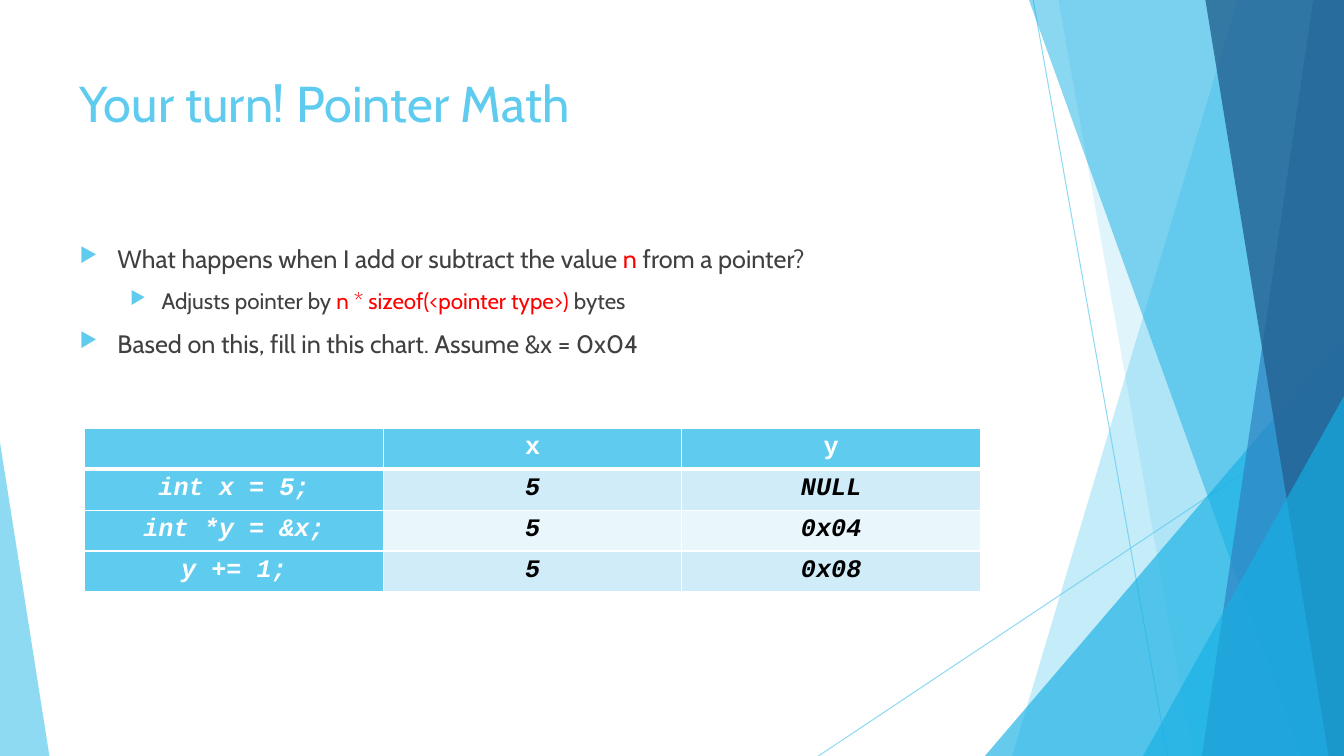
from pptx import Presentation
from pptx.dml.color import RGBColor
from pptx.enum.shapes import MSO_CONNECTOR
from pptx.enum.text import MSO_ANCHOR, PP_ALIGN
from pptx.oxml.ns import qn
from pptx.util import Pt
from lxml import etree

STRAIGHT = MSO_CONNECTOR.STRAIGHT
TOP = MSO_ANCHOR.TOP
CENTER = PP_ALIGN.CENTER

WIDTH, HEIGHT = 960, 540
INSET = 3.6
SKY, CYAN, BLUE, NAVY = "5FCBEF", "17B0E4", "2E83C3", "236292"
WHITE, BLACK, GREY, RED = "FFFFFF", "000000", "404040", "FF0000"
BANDS = ["D1ECF9", "E9F6FC"]

TITLE = "Your turn! Pointer Math"
POINTS = [
    (0, [("What happens when I add or subtract the value", GREY), (" n ", RED),
         ("from a pointer?", GREY)]),
    (1, [("Adjusts pointer by ", GREY), ("n * sizeof(<pointer type>) ", RED),
         ("bytes", GREY)]),
    (0, [("Based on this, fill in this chart. Assume &x = 0x04", GREY)]),
]
LEVELS = [(18, 27, 27), (16, 58.5, 22.5)]
POINTER_ROWS = [
    ["", "x", "y"],
    ["int x = 5;", "5", "NULL"],
    ["int *y = &x;", "5", "0x04"],
    ["y += 1;", "5", "0x08"],
]
TABLE_LEFT, TABLE_TOP, COLUMN_WIDTH, ROW_HEIGHT = 60.5, 306, 213.3, 29.2

RAYS = [((738, 0), (834, HEIGHT)), ((WIDTH, 290), (584.6, HEIGHT))]
RIGHT_SIDE = [(WIDTH, 0), (WIDTH, HEIGHT)]
FACETS = [
    ([(884, 0), *RIGHT_SIDE, (723, HEIGHT)], SKY, 36),
    ([(756, 0), *RIGHT_SIDE, (852, HEIGHT)], SKY, 20),
    ([(703.5, HEIGHT), (WIDTH, 240), (WIDTH, HEIGHT)], CYAN, 66),
    ([(735, 0), *RIGHT_SIDE, (929.5, HEIGHT)], CYAN, 50),
    ([(938, 0), *RIGHT_SIDE, (858.5, HEIGHT)], BLUE, 70),
    ([(861, 0), *RIGHT_SIDE, (949, HEIGHT)], NAVY, 80),
    ([(816.5, HEIGHT), (WIDTH, 283), (WIDTH, HEIGHT)], CYAN, 66),
    ([(0, HEIGHT), (0, 316), (35.3, HEIGHT)], SKY, 70),
]


def paint(color_format, color):
    color_format.rgb = RGBColor.from_string(color)


def fill_with(fill, color):
    fill.solid()
    paint(fill.fore_color, color)


def add_child(parent, tag, **attributes):
    return etree.SubElement(parent, qn(tag), attributes)


def set_opacity(element, percent):
    color = next(element.iter(qn("a:srgbClr")))
    add_child(color, "a:alpha", val=str(percent * 1000))


def add_ray(slide, start, end):
    ray = slide.shapes.add_connector(STRAIGHT, *map(Pt, start + end))
    paint(ray.line.color, SKY)
    ray.line.width = Pt(0.75)
    properties = ray._element.spPr
    set_opacity(properties, 70)
    add_child(properties, "a:effectLst")


def add_facet(slide, corners, color, opacity):
    corners = [(Pt(x), Pt(y)) for x, y in corners]
    builder = slide.shapes.build_freeform(*corners[0])
    builder.add_line_segments(corners[1:], close=True)
    facet = builder.convert_to_shape()
    facet.shadow.inherit = False
    fill_with(facet.fill, color)
    set_opacity(facet._element.spPr, opacity)
    facet.line.fill.background()


def set_insets(holder):
    holder.margin_left = holder.margin_right = Pt(INSET)
    holder.margin_top = holder.margin_bottom = Pt(INSET)


def add_text_frame(slide, top, height):
    frame = slide.shapes.add_textbox(Pt(53.3), Pt(top), Pt(677), Pt(height)).text_frame
    frame.word_wrap = True
    frame.vertical_anchor = TOP
    set_insets(frame)
    return frame


def set_font(paragraph, name, size):
    paragraph.font.name = name
    paragraph.font.size = Pt(size)


def add_bullet(paragraph, left, hanging):
    properties = paragraph._p.get_or_add_pPr()
    properties.set("marL", str(Pt(left)))
    properties.set("indent", str(-Pt(hanging)))
    bullet_color = etree.Element(qn("a:buClr"))
    add_child(bullet_color, "a:srgbClr", val=SKY)
    bullet_size = etree.Element(qn("a:buSzPct"), val="80000")
    bullet = etree.Element(qn("a:buChar"), char="▶")
    defaults = properties.find(qn("a:defRPr"))
    for part in (bullet_color, bullet_size, bullet):
        defaults.addprevious(part)


def set_borders(cell, top, bottom):
    properties = cell._tc.get_or_add_tcPr()
    sides = {"a:lnL": 1, "a:lnR": 1, "a:lnT": top, "a:lnB": bottom}
    for position, (tag, width) in enumerate(sides.items()):
        border = etree.Element(qn(tag), w=str(Pt(width)))
        add_child(add_child(border, "a:solidFill"), "a:srgbClr", val=WHITE)
        properties.insert(position, border)


def add_pointer_table(slide):
    row_count, column_count = len(POINTER_ROWS), len(POINTER_ROWS[0])
    table = slide.shapes.add_table(
        row_count, column_count, Pt(TABLE_LEFT), Pt(TABLE_TOP),
        Pt(COLUMN_WIDTH * column_count), Pt(ROW_HEIGHT * row_count)).table
    table.horz_banding = False
    for column in table.columns:
        column.width = Pt(COLUMN_WIDTH)
    for r, values in enumerate(POINTER_ROWS):
        table.rows[r].height = Pt(ROW_HEIGHT)
        for c, value in enumerate(values):
            cell = table.cell(r, c)
            is_heading = r == 0 or c == 0
            fill_with(cell.fill, SKY if is_heading else BANDS[(r - 1) % 2])
            set_borders(cell, 3 if r == 1 else 1, 3 if r == 0 else 1)
            set_insets(cell)
            cell.text = value
            paragraph = cell.text_frame.paragraphs[0]
            paragraph.alignment = CENTER
            set_font(paragraph, "Courier New", 18)
            paragraph.font.bold = True
            paragraph.font.italic = r > 0
            paint(paragraph.font.color, WHITE if is_heading else BLACK)


def main():
    deck = Presentation()
    deck.slide_width, deck.slide_height = Pt(WIDTH), Pt(HEIGHT)
    slide = deck.slides.add_slide(deck.slide_layouts[6])

    for start, end in RAYS:
        add_ray(slide, start, end)
    for corners, color, opacity in FACETS:
        add_facet(slide, corners, color, opacity)

    title = add_text_frame(slide, 48, 104).paragraphs[0]
    title.text = TITLE
    set_font(title, "Cabin", 36)
    paint(title.font.color, SKY)

    body = add_text_frame(slide, 170, 305)
    for index, (level, pieces) in enumerate(POINTS):
        point = body.add_paragraph() if index else body.paragraphs[0]
        size, left, hanging = LEVELS[level]
        point.level = level
        point.space_before = Pt(10)
        set_font(point, "Cabin", size)
        add_bullet(point, left, hanging)
        for words, color in pieces:
            run = point.add_run()
            run.text = words
            paint(run.font.color, color)

    add_pointer_table(slide)
    deck.save("out.pptx")


if __name__ == "__main__":
    main()
